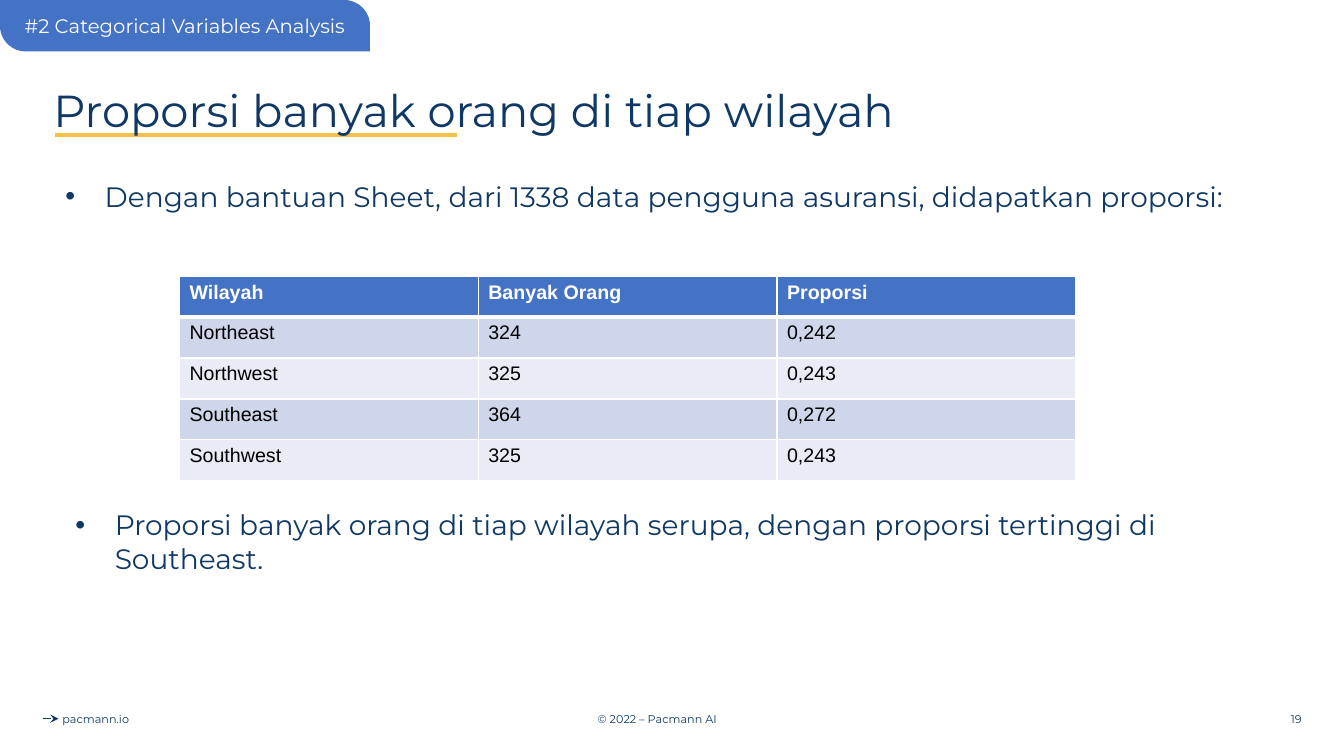
from pptx import Presentation
from pptx.dml.color import RGBColor
from pptx.enum.shapes import MSO_CONNECTOR, MSO_SHAPE
from pptx.enum.text import MSO_ANCHOR, MSO_AUTO_SIZE, PP_ALIGN
from pptx.oxml.ns import qn
from pptx.util import Pt
from lxml.etree import SubElement

PX = 9144  # EMU per px, 100 px to the inch
NAVY = RGBColor(0x10, 0x38, 0x64)
BLUE = RGBColor(0x44, 0x72, 0xC4)
GOLD = RGBColor(0xF3, 0xC1, 0x45)
BAND = RGBColor(0xCF, 0xD5, 0xEA)
PALE = RGBColor(0xE9, 0xEB, 0xF5)
WHITE = RGBColor(0xFF, 0xFF, 0xFF)
BLACK = RGBColor(0x00, 0x00, 0x00)

ROWS = [
    ("Wilayah", "Banyak Orang", "Proporsi"),
    ("Northeast", "324", "0,242"),
    ("Northwest", "325", "0,243"),
    ("Southeast", "364", "0,272"),
    ("Southwest", "325", "0,243"),
]
FOOTER = [
    ("© 2022 – Pacmann AI", 427, 450, PP_ALIGN.CENTER),
    ("pacmann.io", 20, 150, PP_ALIGN.CENTER),
    ("19", 1001, 300, PP_ALIGN.RIGHT),
]
POINTS = [
    ("Dengan bantuan Sheet, dari 1338 data pengguna asuransi, "
     "didapatkan proporsi:", 44, 173, 44),
    ("Proporsi banyak orang di tiap wilayah serupa, dengan proporsi "
     "tertinggi di Southeast.", 54, 499, 77),
]


def scale(*sizes):
    return [size * PX for size in sizes]


class Deck:
    def __init__(self, width, height, font):
        self.font = font
        self.show = Presentation()
        self.show.slide_width, self.show.slide_height = scale(width, height)
        self.slide = self.show.slides.add_slide(self.show.slide_layouts[5])
        self.shapes = self.slide.shapes

    def put(self, frame, text, size, color, align=PP_ALIGN.LEFT,
            anchor=MSO_ANCHOR.MIDDLE):
        """Set the frame's text and return its paragraph."""
        frame.word_wrap = True
        frame.auto_size = MSO_AUTO_SIZE.NONE
        frame.vertical_anchor = anchor
        frame.text = text
        para = frame.paragraphs[0]
        para.alignment = align
        self.style(para, size, color, self.font)
        return para

    def style(self, para, size, color, font, bold=False):
        for run in para.runs:
            run.font.name = font
            run.font.size = Pt(size)
            run.font.bold = bold
            run.font.color.rgb = color

    def title(self, text, *box):
        """Fill the title and lift it above what is drawn so far."""
        title = self.shapes.title
        title.left, title.top, title.width, title.height = scale(*box)
        self.put(title.text_frame, text, 32, NAVY).line_spacing = 0.9
        title._element.getparent().append(title._element)

    def label(self, text, box, align):
        frame = self.shapes.add_textbox(*scale(*box)).text_frame
        self.put(frame, text, 8, NAVY, align)

    def bullet(self, text, *box):
        frame = self.shapes.add_textbox(*scale(*box)).text_frame
        para = self.put(frame, text, 20, NAVY, anchor=MSO_ANCHOR.TOP)
        props = para._p.get_or_add_pPr()
        props.set("marL", str(50 * PX))
        props.set("indent", str(-39 * PX))
        tint = SubElement(props, qn("a:buClr"))
        SubElement(tint, qn("a:srgbClr"), val=str(NAVY))
        SubElement(props, qn("a:buFont"), typeface="Arial")
        SubElement(props, qn("a:buChar"), char="•")

    def tab(self, text, *box):
        """Draw the section tab with two opposite round corners."""
        shape = self.shapes.add_shape(MSO_SHAPE.ROUND_2_DIAG_RECTANGLE,
                                      *scale(*box))
        shape.adjustments[0] = 0
        shape.adjustments[1] = 0.5
        shape.shadow.inherit = False
        shape.fill.solid()
        shape.fill.fore_color.rgb = BLUE
        shape.line.fill.background()
        self.put(shape.text_frame, text, 14, WHITE, PP_ALIGN.CENTER)

    def line(self, ends, color, width, arrow=False):
        line = self.shapes.add_connector(MSO_CONNECTOR.STRAIGHT, *scale(*ends))
        line.line.color.rgb = color
        line.line.width = Pt(width)
        props = line._element.spPr
        if arrow:
            SubElement(props.find(qn("a:ln")), qn("a:tailEnd"), type="stealth")
        SubElement(props, qn("a:effectLst"))

    def edge(self, cell, side, width):
        props = cell._tc.get_or_add_tcPr()
        edge = SubElement(props, qn("a:ln" + side), w=str(int(Pt(width))))
        fill = SubElement(edge, qn("a:solidFill"))
        SubElement(fill, qn("a:srgbClr"), val=str(WHITE))

    def table(self, rows, *box):
        table = self.shapes.add_table(len(rows), len(rows[0]),
                                      *scale(*box)).table
        for r, row in enumerate(rows):
            head = r == 0
            fill = BLUE if head else BAND if r % 2 else PALE
            widths = {"L": 1, "R": 1, "T": 3 if r == 1 else 1,
                      "B": 3 if head else 1}
            for c, text in enumerate(row):
                cell = table.cell(r, c)
                for side, width in widths.items():
                    self.edge(cell, side, width)
                cell.fill.solid()
                cell.fill.fore_color.rgb = fill
                cell.text_frame.text = text
                self.style(cell.text_frame.paragraphs[0], 14,
                           WHITE if head else BLACK, "Arial", head)


def main():
    deck = Deck(1333, 750, "Montserrat")
    deck.line((43, 713, 58, 713), NAVY, 0.75, arrow=True)
    for text, left, width, align in FOOTER:
        deck.label(text, (left, 693, width, 40), align)
    deck.line((55, 134, 453, 134), GOLD, 2.25)
    deck.title("Proporsi banyak orang di tiap wilayah", 43, 40, 1247, 145)
    for text, left, top, height in POINTS:
        deck.bullet(text, left, top, 1246, height)
    deck.table(ROWS, 178, 274, 889, 203)
    deck.tab("#2 Categorical Variables Analysis", 0, 0, 367, 51)
    deck.show.save("out.pptx")


if __name__ == "__main__":
    main()
